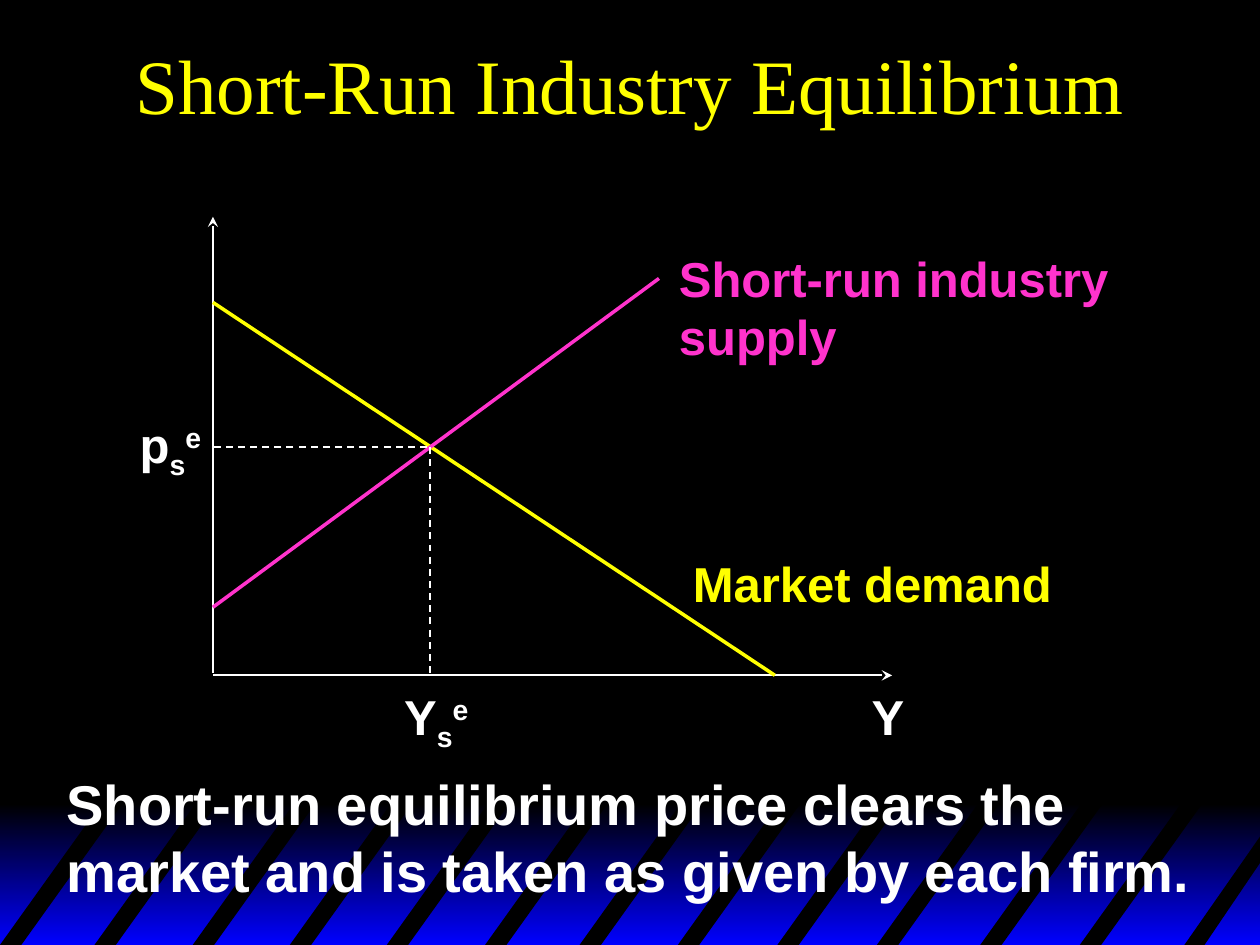
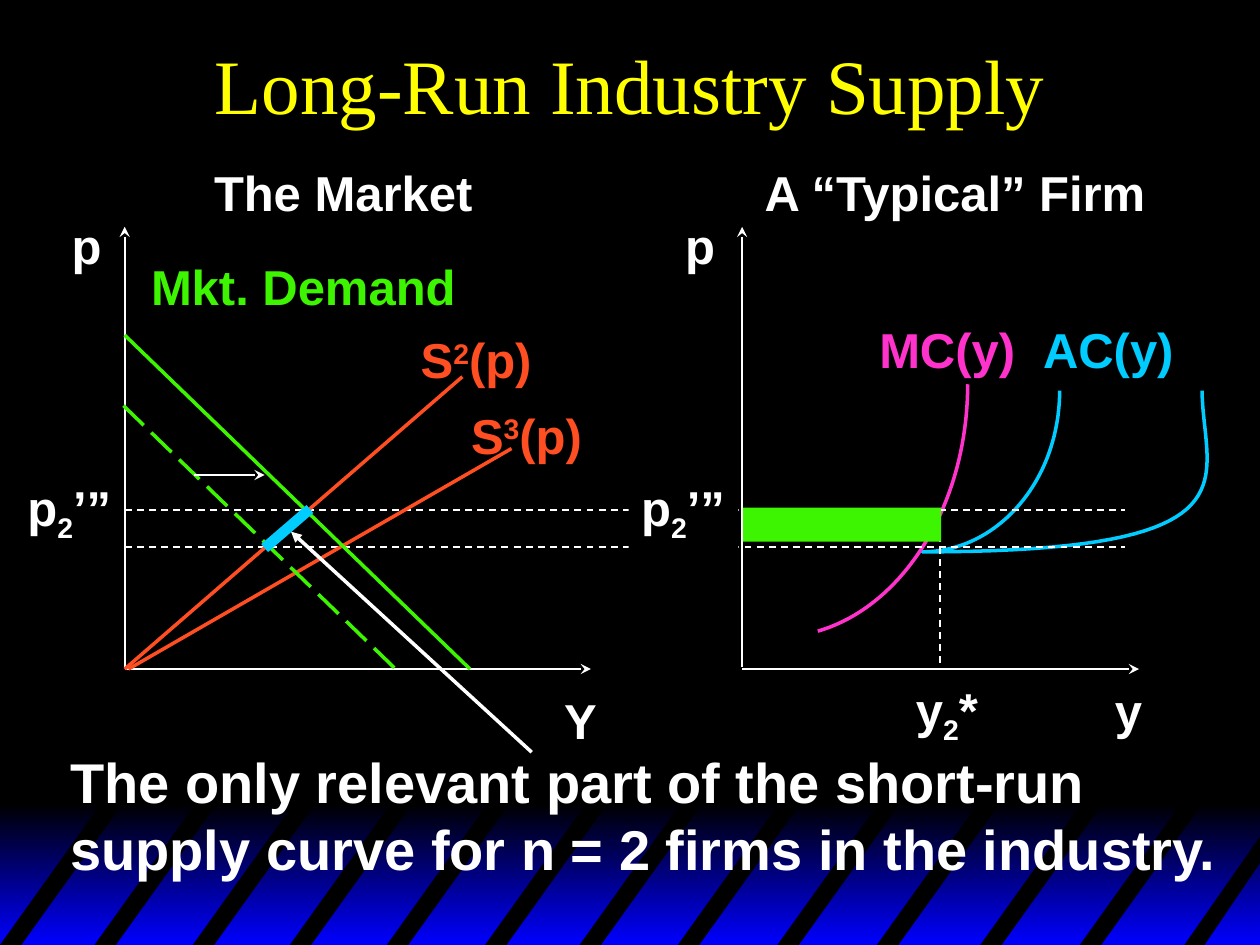
from dataclasses import dataclass

from lxml.etree import SubElement
from pptx import Presentation
from pptx.dml.color import RGBColor
from pptx.enum.dml import MSO_LINE
from pptx.enum.shapes import MSO_CONNECTOR, MSO_SHAPE
from pptx.enum.text import MSO_ANCHOR, MSO_AUTO_SIZE, PP_ALIGN
from pptx.oxml.ns import qn
from pptx.util import Inches, Pt

COLORS = {
    "black": "000000",
    "blue": "0000FF",
    "white": "FFFFFF",
    "yellow": "FFFF00",
    "pink": "FF33CC",
    "orange": "FF4E21",
    "green": "3DF500",
    "cyan": "00CCFF",
}
TITLE_FONT, BODY_FONT = "Times New Roman", "Arial"
TITLE_ONLY = 5
SLIDE_WIDTH, SLIDE_HEIGHT = 10, 7.5
STRIPE_TOP, STRIPE_WIDTH, STRIPE_SLANT = 6.34, 0.17, 0.83
STRIPE_LEFTS = [0, 0.75, 1.53, 2.3, 3.07, 3.85, 4.6, 5.38, 6.17, 6.96, 7.78, 8.57]
CURVE_STEPS = 40
SUBSCRIPT, SUPERSCRIPT = -25000, 30000

Point = tuple[float, float]


@dataclass
class Line:
    start: Point
    end: Point
    color: str = "white"
    width: float = 1
    dash: MSO_LINE | None = None
    arrow: str | None = None


@dataclass
class Label:
    """Text lines; a line is a string or a list of (text, baseline) parts."""
    left: float
    top: float
    width: float
    lines: list
    color: str = "white"
    size: int = 28
    height: float = 0.57
    fill: str | None = None


@dataclass
class Curve:
    """Bezier segments, each with four control points."""
    segments: list[list[Point]]
    color: str


def rgb(name: str) -> RGBColor:
    return RGBColor.from_string(COLORS[name])


def draw_line(slide, line: Line) -> None:
    ends = [Inches(value) for value in (*line.start, *line.end)]
    connector = slide.shapes.add_connector(MSO_CONNECTOR.STRAIGHT, *ends)
    connector.line.color.rgb = rgb(line.color)
    connector.line.width = Pt(line.width)
    if line.dash:
        connector.line.dash_style = line.dash
    if line.arrow:
        SubElement(connector.get_or_add_ln(), qn("a:tailEnd"), type=line.arrow)
    SubElement(connector.element.spPr, qn("a:effectLst"))


def draw_label(slide, label: Label) -> None:
    box = slide.shapes.add_textbox(
        Inches(label.left), Inches(label.top), Inches(label.width), Inches(label.height))
    if label.fill:
        box.fill.solid()
        box.fill.fore_color.rgb = rgb(label.fill)
    frame = box.text_frame
    frame.word_wrap = False
    frame.auto_size = MSO_AUTO_SIZE.SHAPE_TO_FIT_TEXT
    paragraph = frame.paragraphs[0]
    font = paragraph.font
    font.name, font.size, font.bold = BODY_FONT, Pt(label.size), True
    font.color.rgb = rgb(label.color)
    for index, line in enumerate(label.lines):
        if index:
            paragraph.add_line_break()
        for text, baseline in [(line, 0)] if isinstance(line, str) else line:
            run = paragraph.add_run()
            run.text = text
            if baseline:
                run._r.get_or_add_rPr().set("baseline", str(baseline))


def draw_outline(slide, points: list[Point], close: bool):
    vertices = [(Inches(x), Inches(y)) for x, y in points]
    builder = slide.shapes.build_freeform(*vertices[0])
    builder.add_line_segments(vertices[1:], close=close)
    shape = builder.convert_to_shape()
    shape.shadow.inherit = False
    return shape


def bezier_point(controls: list[Point], t: float) -> Point:
    weights = ((1 - t) ** 3, 3 * t * (1 - t) ** 2, 3 * t ** 2 * (1 - t), t ** 3)
    x, y = (sum(w * c for w, c in zip(weights, axis)) for axis in zip(*controls))
    return x, y


def draw_curve(slide, curve: Curve) -> None:
    points = [bezier_point(segment, step / CURVE_STEPS)
              for segment in curve.segments for step in range(CURVE_STEPS + 1)]
    shape = draw_outline(slide, points, close=False)
    shape.fill.background()
    shape.line.color.rgb = rgb(curve.color)
    shape.line.width = Pt(2)


def draw_rectangle(slide, left: float, top: float, width: float, height: float):
    shape = slide.shapes.add_shape(
        MSO_SHAPE.RECTANGLE, Inches(left), Inches(top), Inches(width), Inches(height))
    shape.shadow.inherit = False
    shape.line.fill.background()
    return shape


def axes(origin: Point, top: float, right: float) -> list[Line]:
    x, y = origin
    return [Line((x, y - 0.02), (x, top), arrow="stealth"),
            Line(origin, (right, y), arrow="stealth")]


def draw_all(slide, lines: list[Line], labels: list[Label]) -> None:
    for line in lines:
        draw_line(slide, line)
    for label in labels:
        draw_label(slide, label)


def add_titled_slide(presentation, title: str):
    slide = presentation.slides.add_slide(presentation.slide_layouts[TITLE_ONLY])
    placeholder = slide.shapes.title
    placeholder.left, placeholder.top = Inches(0), Inches(0)
    placeholder.width, placeholder.height = Inches(SLIDE_WIDTH), Inches(1.33)
    frame = placeholder.text_frame
    frame.text = title
    frame.vertical_anchor = MSO_ANCHOR.MIDDLE
    paragraph = frame.paragraphs[0]
    paragraph.alignment = PP_ALIGN.CENTER
    paragraph.font.name, paragraph.font.size = TITLE_FONT, Pt(44)
    paragraph.font.color.rgb = rgb("yellow")
    return slide


def decorate_master(master, slide) -> None:
    """Draw the band on a slide, then move it behind the master's placeholders."""
    master.background.fill.solid()
    master.background.fill.fore_color.rgb = rgb("black")
    band = draw_rectangle(slide, 0, 6.38, SLIDE_WIDTH, 1.12)
    band.fill.gradient()
    band.fill.gradient_angle = 270
    for stop, name in zip(band.fill.gradient_stops, ("black", "blue")):
        stop.color.rgb = rgb(name)

    # Slanted stripes, the last one cut by the slide's right edge
    outlines = [[(left, SLIDE_HEIGHT),
                 (left + STRIPE_SLANT, STRIPE_TOP),
                 (left + STRIPE_SLANT + STRIPE_WIDTH, STRIPE_TOP),
                 (left + STRIPE_WIDTH, SLIDE_HEIGHT)] for left in STRIPE_LEFTS]
    outlines.append([(9.4, SLIDE_HEIGHT), (SLIDE_WIDTH, 6.64),
                     (SLIDE_WIDTH, 6.85), (9.56, SLIDE_HEIGHT)])
    decorations = [band]
    for outline in outlines:
        stripe = draw_outline(slide, outline, close=True)
        stripe.fill.solid()
        stripe.fill.fore_color.rgb = rgb("black")
        stripe.line.fill.background()
        decorations.append(stripe)

    first_placeholder = master.shapes[0].element
    for number, shape in enumerate(decorations, start=100):
        shape.element.nvSpPr.cNvPr.set("id", str(number))
        first_placeholder.addprevious(shape.element)


def build_short_run(slide) -> None:
    lines = axes((1.69, 5.36), top=1.72, right=7.08) + [
        Line((1.69, 2.4), (6.15, 5.36), "yellow", 2),
        Line((1.69, 4.82), (5.23, 2.21), "pink", 2),
        Line((3.41, 3.55), (3.41, 5.34), dash=MSO_LINE.DASH),
        Line((3.39, 3.55), (1.7, 3.55), dash=MSO_LINE.DASH),
    ]
    equilibrium = [("s", SUBSCRIPT), ("e", SUPERSCRIPT)]
    labels = [
        Label(5.4, 4.34, 3.05, ["Market demand"], "yellow"),
        Label(5.29, 1.92, 3.61, ["Short-run industry", "supply"], "pink", height=1.04),
        Label(1.01, 3.24, 0.69, [[("p", 0), *equilibrium]], height=0.63),
        Label(3.11, 5.4, 0.71, [[("Y", 0), *equilibrium]], height=0.63),
        Label(6.82, 5.4, 0.46, ["Y"]),
        Label(0.43, 6.06, 9.13, ["Short-run equilibrium price clears the",
                                 "market and is taken as given by each firm."],
              size=32, height=1.17),
    ]
    draw_all(slide, lines, labels)


def build_long_run(slide) -> None:
    # Cost curves of the firm
    average_cost = Curve([[(8.41, 3.1), (8.41, 3.81), (7.92, 4.38), (7.32, 4.38)],
                          [(7.32, 4.38), (10.04, 4.38), (9.55, 3.81), (9.54, 3.1)]], "cyan")
    marginal_cost = Curve([[(7.68, 3.05), (7.68, 3.99), (7.18, 4.81), (6.49, 5.01)]], "pink")
    for curve in (average_cost, marginal_cost):
        draw_curve(slide, curve)

    # Price levels, with the profit area on top of them
    for price in (4.05, 4.34):
        draw_line(slide, Line((0.99, price), (8.93, price), dash=MSO_LINE.DASH))
    draw_line(slide, Line((7.46, 4.05), (7.46, 5.31), dash=MSO_LINE.DASH))
    profit = draw_rectangle(slide, 5.89, 4.03, 1.58, 0.27)
    profit.fill.solid()
    profit.fill.fore_color.rgb = rgb("green")

    # Axes, market supply and demand
    lines = axes((0.99, 5.31), top=1.8, right=4.69) + axes((5.89, 5.31), top=1.8, right=9.04) + [
        Line((0.99, 5.31), (3.67, 2.99), "orange", 2),
        Line((1.02, 5.31), (4.06, 3.56), "orange", 2),
        Line((0.98, 3.22), (3.14, 5.31), "green", 2, MSO_LINE.LONG_DASH),
        Line((1.54, 3.77), (2.1, 3.77), arrow="stealth"),
        Line((0.99, 2.66), (3.73, 5.31), "green", 2),
        Line((2.1, 4.35), (2.46, 4.04), "cyan", 6),
        Line((4.22, 5.97), (2.31, 4.22), width=2, arrow="triangle"),
    ]
    price_label = [[("p", 0), ("2", SUBSCRIPT), ("’”", 0)]]
    labels = [
        Label(3.24, 2.57, 1.08, [[("S", 0), ("2", SUPERSCRIPT), ("(p)", 0)]], "orange"),
        Label(3.64, 3.17, 1.08, [[("S", 0), ("3", SUPERSCRIPT), ("(p)", 0)]], "orange"),
        Label(1.1, 1.99, 2.62, ["Mkt. Demand"], "green"),
        Label(8.18, 2.49, 1.24, ["AC(y)"], "cyan"),
        Label(6.88, 2.49, 1.28, ["MC(y)"], "pink"),
        Label(8.75, 5.35, 0.42, ["y"]),
        Label(5.97, 1.24, 3.27, ["A “Typical” Firm"]),
        Label(1.6, 1.24, 2.25, ["The Market"]),
        Label(0.47, 1.66, 0.44, ["p"]),
        Label(5.34, 1.66, 0.44, ["p"]),
        Label(4.38, 5.43, 0.46, ["Y"]),
        Label(7.17, 5.34, 0.69, [[("y", 0), ("2", SUBSCRIPT), ("*", 0)]], height=0.63),
        Label(0.46, 5.88, 9.34, ["The only relevant part of the short-run",
                                 "supply curve for n = 2 firms in the industry."],
              size=32, height=1.17),
        Label(0.12, 3.74, 0.87, price_label, height=0.63),
        Label(4.99, 3.74, 0.87, price_label, height=0.63, fill="black"),
    ]
    draw_all(slide, lines, labels)


def main() -> None:
    presentation = Presentation()
    presentation.slide_width = Inches(SLIDE_WIDTH)
    presentation.slide_height = Inches(SLIDE_HEIGHT)
    short_run = add_titled_slide(presentation, "Short-Run Industry Equilibrium")
    decorate_master(presentation.slide_master, short_run)
    build_short_run(short_run)
    build_long_run(add_titled_slide(presentation, "Long-Run Industry Supply"))
    presentation.save("out.pptx")


if __name__ == "__main__":
    main()
